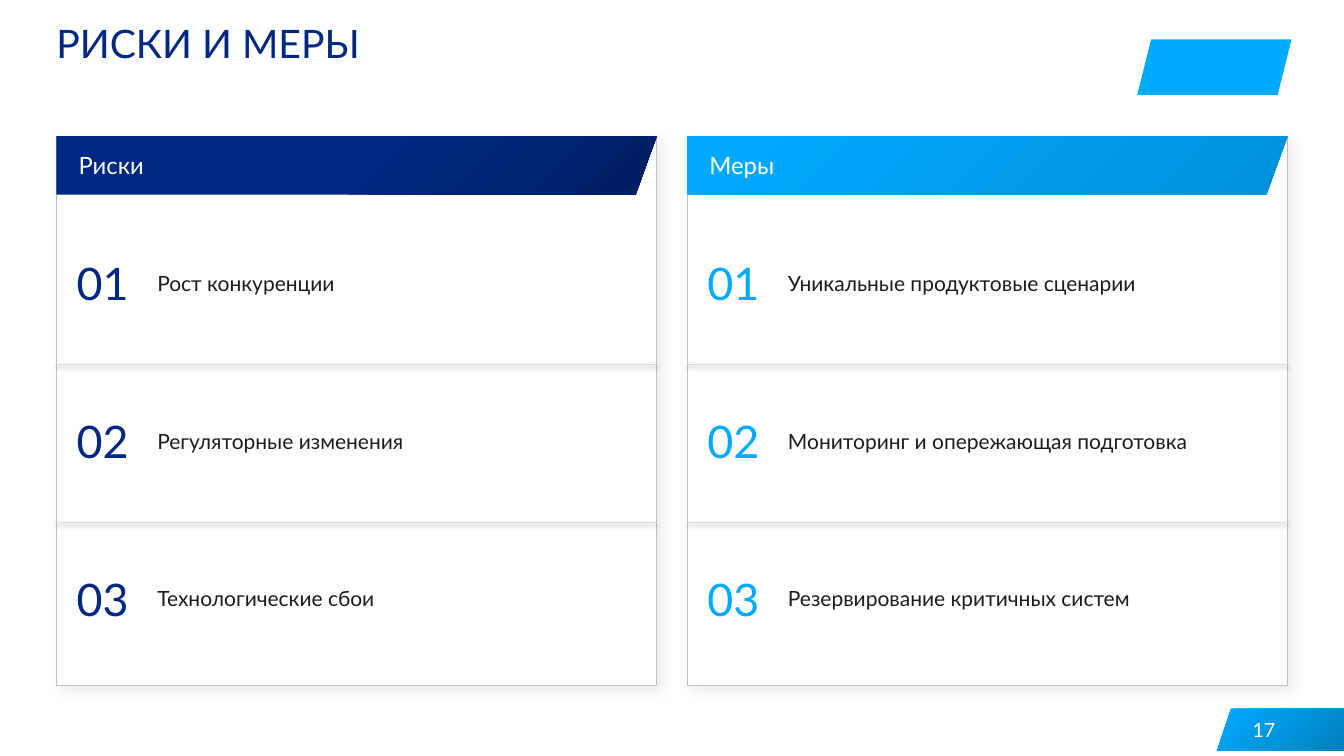
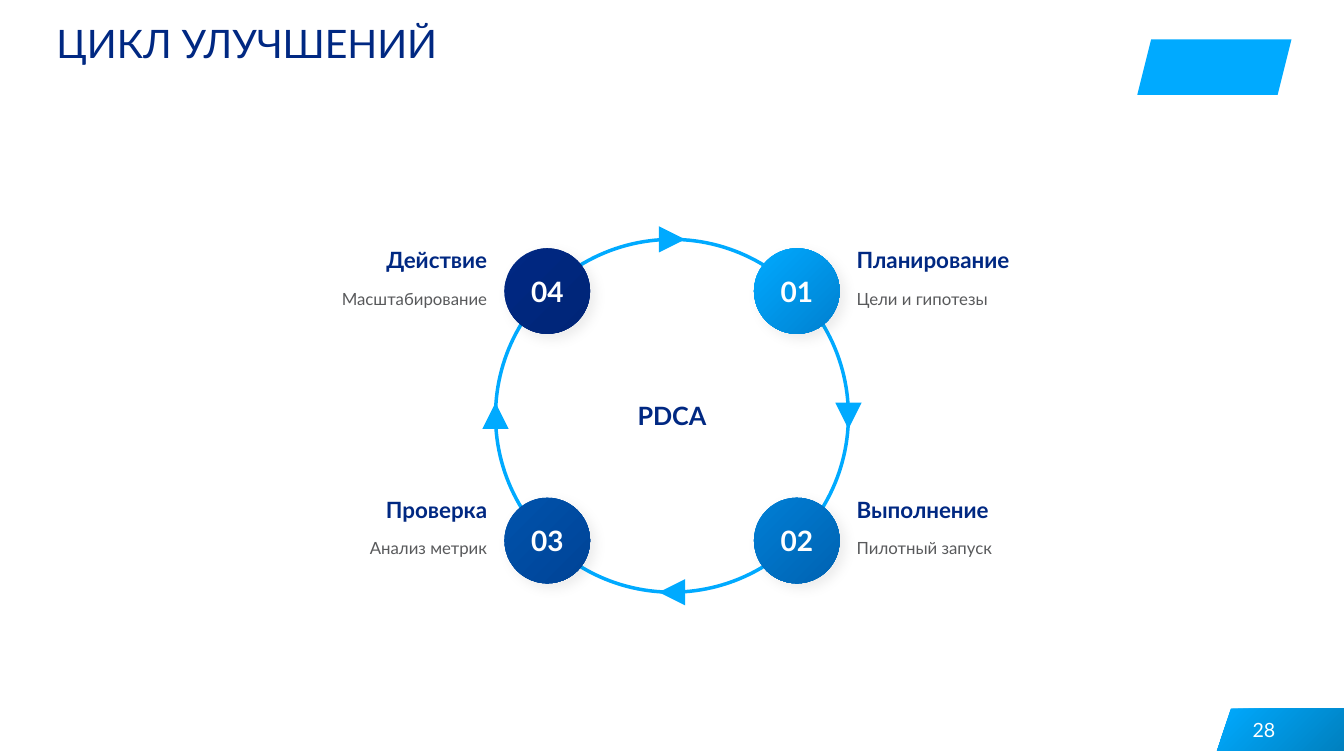
from math import cos, radians, sin

from lxml import etree
from pptx import Presentation
from pptx.dml.color import RGBColor
from pptx.enum.shapes import MSO_CONNECTOR, MSO_SHAPE
from pptx.enum.text import MSO_ANCHOR, PP_ALIGN
from pptx.oxml.ns import qn
from pptx.util import Inches, Pt

WIDTH, HEIGHT = 13.33, 7.5
MARGIN, GUTTER = 0.56, 0.3
COLUMN = (WIDTH - 2 * MARGIN - GUTTER) / 2
PANEL_TOP, PANEL_HEIGHT, HEADER_HEIGHT = 1.35, 5.45, 0.58
ROWS_TOP, ROW_PITCH, ROW_HEIGHT = 2.05, 4.7 / 3, 1.51
CENTER_X, CENTER_Y, RADIUS = WIDTH * 0.5, HEIGHT * 0.55, 1.75
NODE, ARROW, LABEL_WIDTH, LABEL_GAP = 0.85, 0.26, 3.3, 0.17
FOOTER_TOP, FOOTER_BOTTOM = 7.03, 7.45

FONT = "Lato"
NAVY = RGBColor(0x00, 0x28, 0x82)
SKY = RGBColor(0x00, 0xAA, 0xFF)
WHITE = RGBColor(0xFF, 0xFF, 0xFF)
INK = RGBColor(0x1C, 0x1C, 0x1C)
GRAY = RGBColor(0x58, 0x59, 0x5B)
BORDER = RGBColor(0xBF, 0xBF, 0xBF)
DIVIDER = RGBColor(0xD9, 0xD9, 0xD9)
FOOTER_STOPS = ((0, SKY), (1, RGBColor(0x00, 0x80, 0xBF)))
RISK_STOPS = ((0.5, NAVY), (1, RGBColor(0x00, 0x1E, 0x62)))
MEASURE_STOPS = ((0, SKY), (1, RGBColor(0x00, 0x91, 0xDA)))

CARD_SHADOW = (8, 9, 5, 45)
DIVIDER_SHADOW = (38, 3.1, 1.6, 90)

PANELS = (
    ("Риски", NAVY, RISK_STOPS,
     ("Рост конкуренции", "Регуляторные изменения", "Технологические сбои")),
    ("Меры", SKY, MEASURE_STOPS,
     ("Уникальные продуктовые сценарии", "Мониторинг и опережающая подготовка",
      "Резервирование критичных систем")),
)
STAGES = (
    ("Планирование", "Цели и гипотезы", SKY, RGBColor(0x00, 0x80, 0xD0)),
    ("Выполнение", "Пилотный запуск",
     RGBColor(0x00, 0x7F, 0xD5), RGBColor(0x00, 0x62, 0xB2)),
    ("Проверка", "Анализ метрик",
     RGBColor(0x00, 0x53, 0xAC), RGBColor(0x00, 0x43, 0x96)),
    ("Действие", "Масштабирование", NAVY, RGBColor(0x00, 0x25, 0x78)),
)


def inches(*lengths):
    return [Inches(length) for length in lengths]


def set_shadow(shape, shadow=None):
    properties = shape._element.spPr
    effects = properties.find(qn("a:effectLst"))
    if effects is None:
        effects = etree.SubElement(properties, qn("a:effectLst"))
    if shadow:
        opacity, blur, distance, angle = shadow
        outer = etree.SubElement(
            effects, qn("a:outerShdw"), blurRad=str(int(Pt(blur))),
            dist=str(int(Pt(distance))), dir=str(angle * 60000),
            algn="tl", rotWithShape="0")
        color = etree.SubElement(outer, qn("a:srgbClr"), val="000000")
        etree.SubElement(color, qn("a:alpha"), val=str(opacity * 1000))


def style_shape(shape, fill=None, stops=None, line=None, line_width=1, shadow=None):
    shape.shadow.inherit = False
    if stops:
        shape.fill.gradient()
        shape.fill.gradient_angle = 315
        for stop, (position, color) in zip(shape.fill.gradient_stops, stops):
            stop.position = position
            stop.color.rgb = color
    elif fill is not None:
        shape.fill.solid()
        shape.fill.fore_color.rgb = fill
    else:
        shape.fill.background()
    if line is not None:
        shape.line.color.rgb = line
        shape.line.width = Pt(line_width)
    else:
        shape.line.fill.background()
    set_shadow(shape, shadow)
    return shape


def add_preset(slide, preset, left, top, width, height, **style):
    shape = slide.shapes.add_shape(preset, *inches(left, top, width, height))
    return style_shape(shape, **style)


def add_outline(slide, points, stops):
    corners = [tuple(inches(*point)) for point in points]
    builder = slide.shapes.build_freeform(*corners[0])
    builder.add_line_segments(corners[1:], close=True)
    return style_shape(builder.convert_to_shape(), stops=stops)


def add_divider(slide, left, top, width):
    connector = slide.shapes.add_connector(
        MSO_CONNECTOR.STRAIGHT, *inches(left, top, left + width, top))
    connector.line.color.rgb = DIVIDER
    connector.line.width = Pt(0.75)
    set_shadow(connector, DIVIDER_SHADOW)


def add_text(slide, text, left, top, width, height, size, color, bold=False,
             align=PP_ALIGN.LEFT, anchor=MSO_ANCHOR.MIDDLE):
    box = slide.shapes.add_textbox(*inches(left, top, width, height))
    frame = box.text_frame
    frame.word_wrap = True
    frame.vertical_anchor = anchor
    frame.margin_left = frame.margin_right = 0
    frame.margin_top = frame.margin_bottom = 0
    paragraph = frame.paragraphs[0]
    paragraph.alignment = align
    run = paragraph.add_run()
    run.text = text
    run.font.name = FONT
    run.font.size = Pt(size)
    run.font.bold = bold
    run.font.color.rgb = color


def add_base_slide(presentation, title, number):
    slide = presentation.slides.add_slide(presentation.slide_layouts[6])
    add_outline(slide, ((12.21, FOOTER_TOP), (WIDTH, FOOTER_TOP),
                        (WIDTH, FOOTER_BOTTOM), (12.07, FOOTER_BOTTOM)), FOOTER_STOPS)
    add_preset(slide, MSO_SHAPE.PARALLELOGRAM, 11.28, 0.39, 1.53, 0.55, fill=SKY)
    add_text(slide, title, MARGIN, 0.19, 10.48, 0.94, 28, NAVY, anchor=MSO_ANCHOR.TOP)
    add_text(slide, str(number), 12.19, 7.04, 0.46, 0.4, 14, WHITE, align=PP_ALIGN.RIGHT)
    return slide


def add_panel(slide, column, heading, accent, stops, items):
    left = MARGIN + column * (COLUMN + GUTTER)
    right = left + COLUMN
    header_bottom = PANEL_TOP + HEADER_HEIGHT
    add_preset(slide, MSO_SHAPE.RECTANGLE, left, PANEL_TOP, COLUMN, PANEL_HEIGHT,
               fill=WHITE, line=BORDER, line_width=0.5, shadow=CARD_SHADOW)
    add_outline(slide, ((left, PANEL_TOP), (right, PANEL_TOP),
                        (right - 0.21, header_bottom), (left, header_bottom)), stops)
    add_text(slide, heading, left + 0.22, PANEL_TOP, 5.42, HEADER_HEIGHT, 17, WHITE)
    for row, item in enumerate(items):
        top = ROWS_TOP + row * ROW_PITCH
        if row:
            add_divider(slide, left, top, COLUMN)
        add_text(slide, f"{row + 1:02}", left + 0.2, top, 0.75, ROW_HEIGHT, 32, accent)
        add_text(slide, item, left + 1, top, 4.75, ROW_HEIGHT, 15, INK)


def ring_corner(angle, size):
    x = CENTER_X + RADIUS * cos(radians(angle)) - size / 2
    y = CENTER_Y + RADIUS * sin(radians(angle)) - size / 2
    return x, y


def add_stage(slide, index, name, detail, start, end):
    arrow_left, arrow_top = ring_corner(90 * index, ARROW)
    arrow = add_preset(slide, MSO_SHAPE.ISOSCELES_TRIANGLE, arrow_left, arrow_top,
                       ARROW, ARROW, fill=SKY)
    arrow.rotation = (180 + 90 * index) % 360

    left, top = ring_corner(90 * index - 45, NODE)
    add_preset(slide, MSO_SHAPE.OVAL, left, top, NODE, NODE,
               stops=((0, start), (1, end)), shadow=CARD_SHADOW)
    add_text(slide, f"{index + 1:02}", left, top, NODE, NODE, 20, WHITE,
             bold=True, align=PP_ALIGN.CENTER)

    if left > CENTER_X:
        label_left, align = left + NODE + LABEL_GAP, PP_ALIGN.LEFT
    else:
        label_left, align = left - LABEL_GAP - LABEL_WIDTH, PP_ALIGN.RIGHT
    add_text(slide, name, label_left, top - 0.02, LABEL_WIDTH, 0.4, 16, NAVY,
             bold=True, align=align, anchor=MSO_ANCHOR.TOP)
    add_text(slide, detail, label_left, top + 0.4, LABEL_WIDTH, 0.75, 12, GRAY,
             align=align, anchor=MSO_ANCHOR.TOP)


def add_risks_slide(presentation):
    slide = add_base_slide(presentation, "РИСКИ И МЕРЫ", 17)
    for column, panel in enumerate(PANELS):
        add_panel(slide, column, *panel)


def add_cycle_slide(presentation):
    slide = add_base_slide(presentation, "ЦИКЛ УЛУЧШЕНИЙ", 28)
    add_preset(slide, MSO_SHAPE.OVAL, CENTER_X - RADIUS, CENTER_Y - RADIUS,
               2 * RADIUS, 2 * RADIUS, line=SKY, line_width=2.5)
    add_text(slide, "PDCA", CENTER_X - 1.2, CENTER_Y - 0.6, 2.4, 1.2, 18, NAVY,
             bold=True, align=PP_ALIGN.CENTER)
    for index, stage in enumerate(STAGES):
        add_stage(slide, index, *stage)


def main():
    presentation = Presentation()
    presentation.slide_width, presentation.slide_height = inches(WIDTH, HEIGHT)
    add_risks_slide(presentation)
    add_cycle_slide(presentation)
    presentation.save("out.pptx")


if __name__ == "__main__":
    main()
